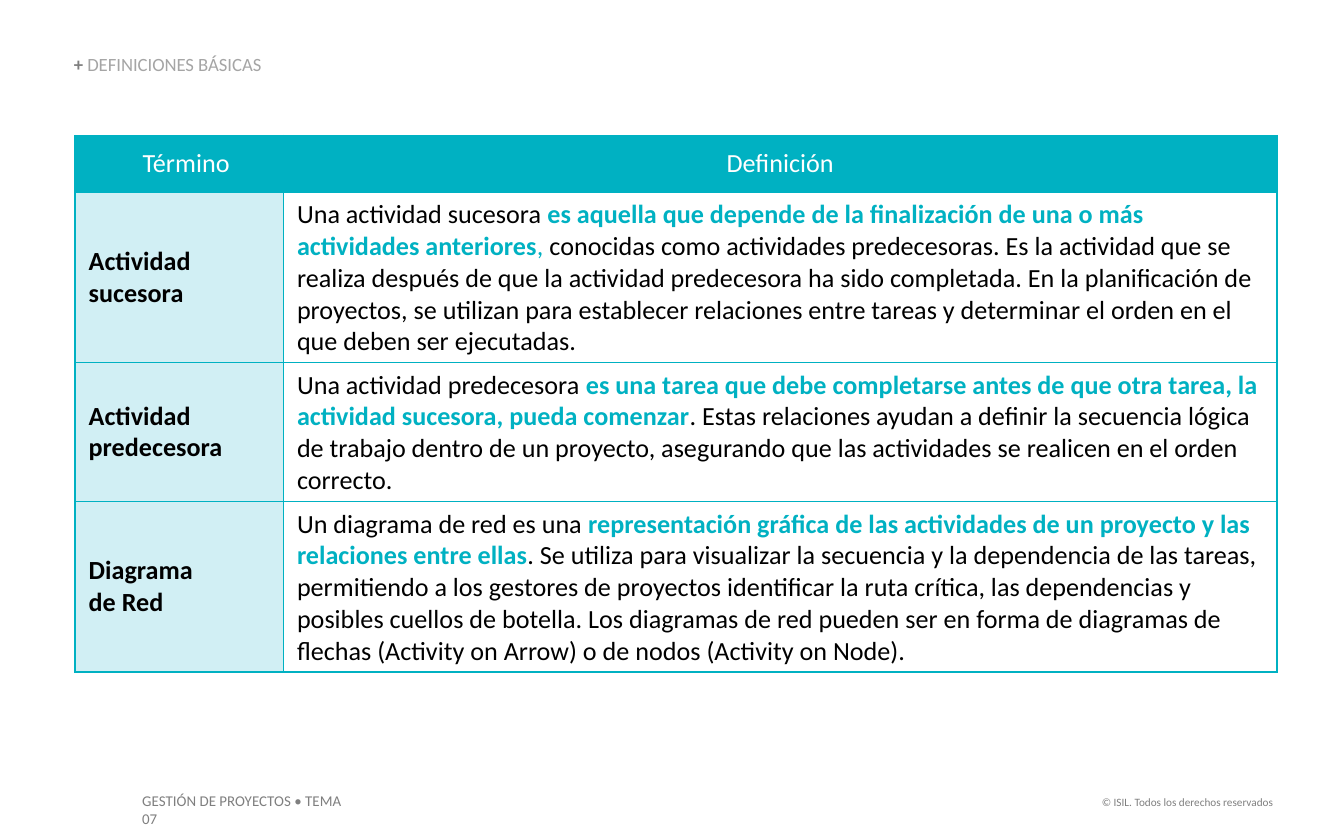
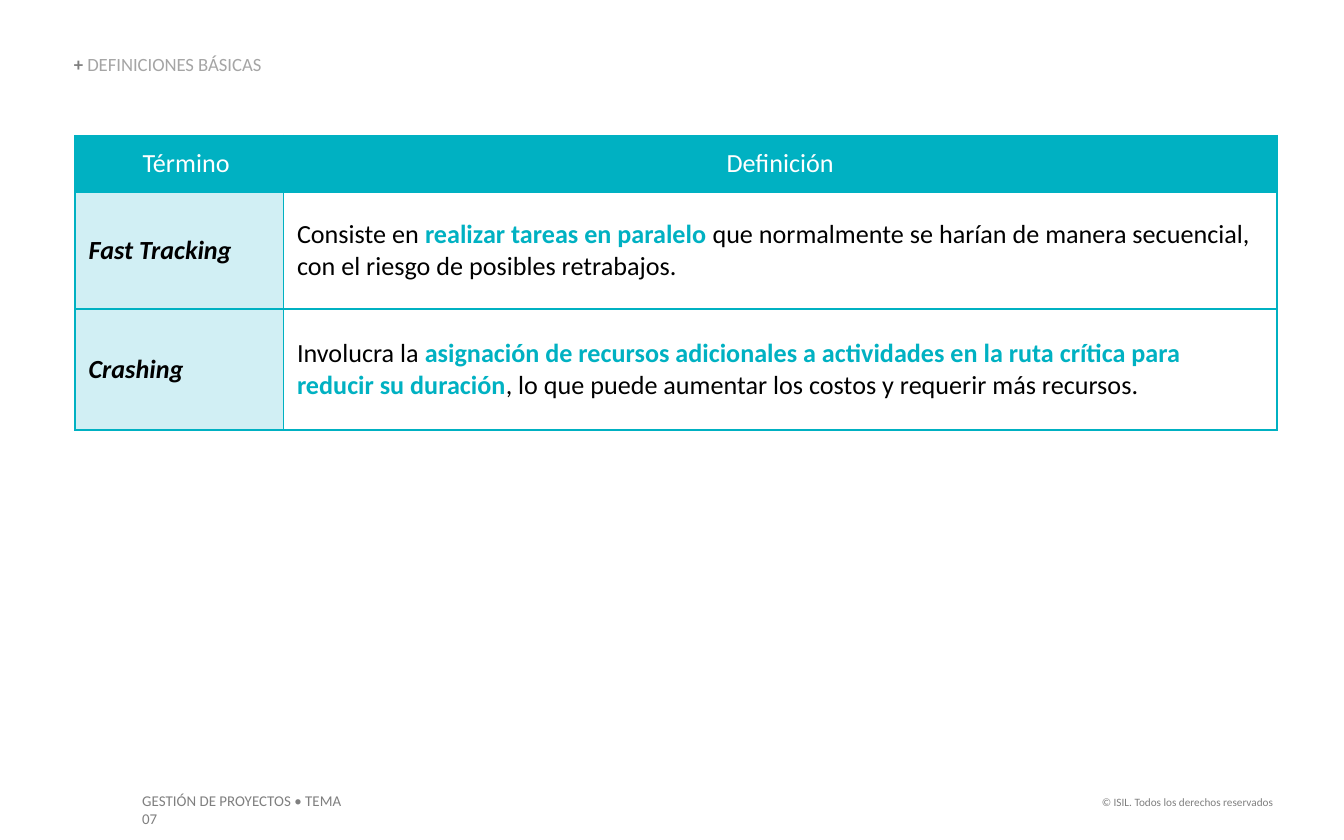
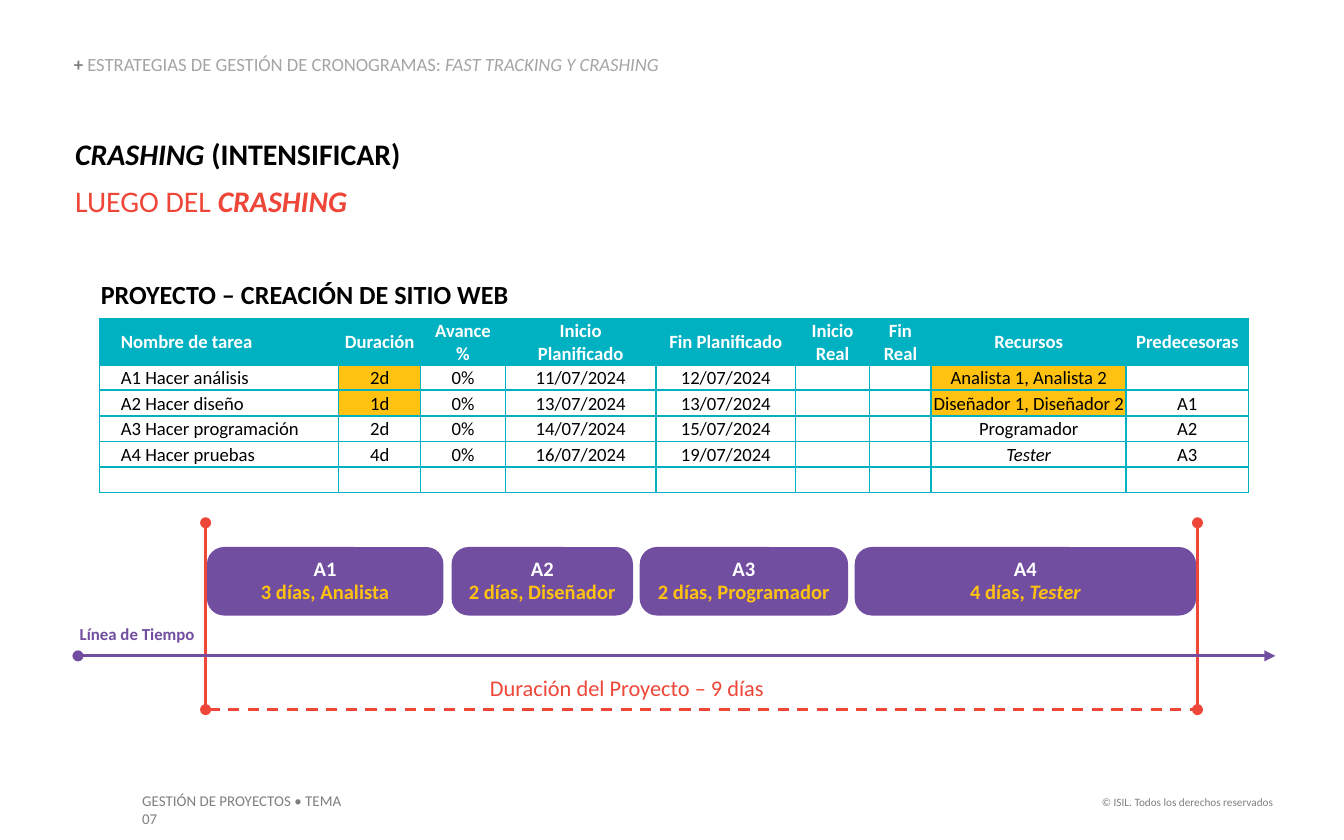
"""Build three project-management slides: two glossaries and a crashing schedule."""
from typing import NamedTuple, Sequence

import pptx
import pptx.dml.color
import pptx.enum.dml
import pptx.enum.shapes
import pptx.enum.text
import pptx.oxml.ns
import pptx.util
from lxml import etree

PX = 9144
FONT = "Calibri"
TEAL, PALE_TEAL, PURPLE, RED, AMBER = "00B1C2", "D1EFF4", "714EA0", "EE4639", "FFC211"
BLACK, WHITE, GRAY, LIGHT_GRAY = "000000", "FFFFFF", "7F7F7F", "A5A5A5"
LEFT = pptx.enum.text.PP_ALIGN.LEFT
CENTER = pptx.enum.text.PP_ALIGN.CENTER
RIGHT = pptx.enum.text.PP_ALIGN.RIGHT
TOP = pptx.enum.text.MSO_ANCHOR.TOP
MIDDLE = pptx.enum.text.MSO_ANCHOR.MIDDLE
BOTTOM = pptx.enum.text.MSO_ANCHOR.BOTTOM
PADDED = (10, 5, 10, 5)
FLUSH = (0, 0, 0, 0)
TIGHT = (1, 1, 1, 0)


class Run(NamedTuple):
    """Text with the attributes that differ from its paragraph."""
    text: str
    color: str | None = None
    bold: bool | None = None
    italic: bool | None = None


class Para(NamedTuple):
    """A paragraph with its base font and layout."""
    runs: Sequence[Run]
    size: int
    color: str = BLACK
    bold: bool = False
    italic: bool = False
    align: int = LEFT
    indent: int = 0
    spacing: float | None = None
    before: int = 0


class Cell(NamedTuple):
    """A table cell."""
    para: Para
    fill: str | None = None
    span: int = 1
    borders: str = "LRTB"


class Box(NamedTuple):
    """A text box placed on the slide."""
    x: int
    y: int
    w: int
    h: int
    paras: Sequence[Para]
    insets: tuple[int, int, int, int] = PADDED
    anchor: int = TOP


class Task(NamedTuple):
    """A row of the schedule."""
    name: str
    days: str
    start: str
    end: str
    people: Run
    before: str
    changed: bool


class Bar(NamedTuple):
    """A task bar above the timeline."""
    x: int
    w: int
    name: str
    detail: Sequence[Run]


class Line(NamedTuple):
    """A straight line with optional arrowheads."""
    x1: int
    y1: int
    x2: int
    y2: int
    color: str
    head: str = ""
    tail: str = ""
    dashed: bool = False


FOOTERS = (
    Box(791, 587, 166, 20,
        [Para([Run("© ISIL. Todos los derechos reservados")], 6, GRAY, align=RIGHT)]),
    Box(96, 584, 190, 24,
        [Para([Run("GESTIÓN DE PROYECTOS • TEMA 07")], 8, GRAY)], (10, 5, 30, 5)),
)

NETWORK_TERMS = (
    (Run("Actividad sucesora"), (
        Run("Una actividad sucesora "),
        Run("es aquella que depende de la finalización de una o más actividades anteriores",
            TEAL, True),
        Run(",", TEAL),
        Run(" conocidas como actividades predecesoras. Es la actividad que se realiza después "
            "de que la actividad predecesora ha sido completada. En la planificación de "
            "proyectos, se utilizan para establecer relaciones entre tareas y determinar el "
            "orden en el que deben ser ejecutadas."))),
    (Run("Actividad predecesora"), (
        Run("Una actividad predecesora "),
        Run("es una tarea que debe completarse antes de que otra tarea, la actividad sucesora, "
            "pueda comenzar", TEAL, True),
        Run(". Estas relaciones ayudan a definir la secuencia lógica de trabajo dentro de un "
            "proyecto, asegurando que las actividades se realicen en el orden correcto."))),
    (Run("Diagrama\nde Red"), (
        Run("Un diagrama de red es una "),
        Run("representación gráfica de las actividades de un proyecto y las relaciones entre "
            "ellas", TEAL, True),
        Run(". Se utiliza para visualizar la secuencia y la dependencia de las tareas, "
            "permitiendo a los gestores de proyectos identificar la ruta crítica, las "
            "dependencias y posibles cuellos de botella. Los diagramas de red pueden ser en "
            "forma de diagramas de flechas (Activity on Arrow) o de nodos (Activity on Node)."))),
)

STRATEGY_TERMS = (
    (Run("Fast Tracking", italic=True), (
        Run("Consiste en "),
        Run("realizar tareas en paralelo ", TEAL, True),
        Run("que normalmente se harían de manera secuencial, con el riesgo de posibles "
            "retrabajos."))),
    (Run("Crashing", italic=True), (
        Run("Involucra la "),
        Run("asignación de recursos adicionales a actividades en la ruta crítica para reducir "
            "su duración", TEAL, True),
        Run(", lo que puede aumentar los costos y requerir más recursos."))),
)

SCHEDULE_HEADS = ("Nombre de tarea", "Duración", "Avance\n%", "Inicio\nPlanificado",
                  "Fin Planificado", "Inicio\nReal", "Fin\nReal", "Recursos", "Predecesoras")
SCHEDULE_COLS = (178, 61, 63, 112, 104, 55, 46, 145, 91)
TASKS = (
    Task("A1 Hacer análisis", "2d", "11/07/2024", "12/07/2024",
         Run("Analista 1, Analista 2"), "", True),
    Task("A2 Hacer diseño", "1d", "13/07/2024", "13/07/2024",
         Run("Diseñador 1, Diseñador 2"), "A1", True),
    Task("A3 Hacer programación", "2d", "14/07/2024", "15/07/2024",
         Run("Programador"), "A2", False),
    Task("A4 Hacer pruebas", "4d", "16/07/2024", "19/07/2024",
         Run("Tester", italic=True), "A3", False),
)
BARS = (
    Bar(154, 176, "A1", [Run("3 días, Analista")]),
    Bar(336, 135, "A2", [Run("2 días, Diseñador")]),
    Bar(476, 155, "A3", [Run("2 días, Programador")]),
    Bar(636, 254, "A4", [Run("4 días, "), Run("Tester", italic=True)]),
)


def px(n: int) -> pptx.util.Emu:
    """Turn px into EMU."""
    return pptx.util.Emu(n * PX)


def rgb(color: str) -> pptx.dml.color.RGBColor:
    """Turn a hex string into a colour."""
    return pptx.dml.color.RGBColor.from_string(color)


def sub(parent, tag: str, **attrs: str):
    """Append an XML element."""
    return etree.SubElement(parent, pptx.oxml.ns.qn(tag), **attrs)


def write_para(p, para: Para) -> None:
    """Fill a paragraph with runs over its base font."""
    if para.indent:
        p._p.get_or_add_pPr().set("indent", str(px(para.indent)))
    p.alignment = para.align
    if para.spacing:
        p.line_spacing = para.spacing
    if para.before:
        p.space_before = pptx.util.Pt(para.before)
    p.font.name, p.font.size = FONT, pptx.util.Pt(para.size)
    p.font.bold, p.font.italic = para.bold, para.italic
    p.font.color.rgb = rgb(para.color)
    for run in para.runs:
        for i, text in enumerate(run.text.split("\n")):
            if i:
                p.add_line_break()
            r = p.add_run()
            r.text = text
            if run.bold is not None:
                r.font.bold = run.bold
            if run.italic is not None:
                r.font.italic = run.italic
            if run.color:
                r.font.color.rgb = rgb(run.color)
    if not para.runs:
        sub(p._p, "a:endParaRPr", sz=str(para.size * 100))


def write_frame(tf, paras: Sequence[Para], insets: tuple[int, int, int, int],
                anchor: int) -> None:
    """Write paragraphs into a text frame."""
    tf.word_wrap = True
    tf.vertical_anchor = anchor
    tf.margin_left, tf.margin_top, tf.margin_right, tf.margin_bottom = map(px, insets)
    for i, para in enumerate(paras):
        write_para(tf.add_paragraph() if i else tf.paragraphs[0], para)


def draw_box(slide, box: Box) -> None:
    """Draw a text box."""
    sp = slide.shapes.add_textbox(px(box.x), px(box.y), px(box.w), px(box.h))
    write_frame(sp.text_frame, box.paras, box.insets, box.anchor)
    sp.text_frame.auto_size = pptx.enum.text.MSO_AUTO_SIZE.SHAPE_TO_FIT_TEXT


def draw_cell(cell, data: Cell, insets: tuple[int, int, int, int]) -> None:
    """Write a cell with its borders and fill."""
    tcPr = cell._tc.get_or_add_tcPr()
    for side in "LRTB":
        ln = sub(tcPr, f"a:ln{side}", w=str(pptx.util.Pt(1)))
        if side in data.borders:
            sub(sub(ln, "a:solidFill"), "a:srgbClr", val=TEAL)
        else:
            sub(ln, "a:noFill")
    if data.fill:
        cell.fill.solid()
        cell.fill.fore_color.rgb = rgb(data.fill)
    else:
        cell.fill.background()
    cell.vertical_anchor = MIDDLE
    cell.margin_left, cell.margin_top, cell.margin_right, cell.margin_bottom = map(px, insets)
    write_para(cell.text_frame.paragraphs[0], data.para)


def draw_table(slide, x: int, y: int, cols: Sequence[int], rows: Sequence[int],
               cells: Sequence[Sequence[Cell]], insets: tuple[int, int, int, int]) -> None:
    """Draw a table with plain teal rules."""
    table = slide.shapes.add_table(len(rows), len(cols), px(x), px(y),
                                   px(sum(cols)), px(sum(rows))).table
    table.first_row = table.horz_banding = False
    for column, width in zip(table.columns, cols):
        column.width = px(width)
    for i, (height, row) in enumerate(zip(rows, cells)):
        table.rows[i].height = px(height)
        for j, data in enumerate(row):
            draw_cell(table.cell(i, j), data, insets)
            if data.span > 1:
                table.cell(i, j).merge(table.cell(i, j + data.span - 1))


def draw_line(slide, line: Line) -> None:
    """Draw a straight connector."""
    cxn = slide.shapes.add_connector(pptx.enum.shapes.MSO_CONNECTOR.STRAIGHT,
                                     px(line.x1), px(line.y1), px(line.x2), px(line.y2))
    cxn.line.color.rgb = rgb(line.color)
    cxn.line.width = pptx.util.Pt(1.5)
    if line.dashed:
        cxn.line.dash_style = pptx.enum.dml.MSO_LINE.DASH
    ln = cxn.line._get_or_add_ln()
    for tag, kind in (("a:headEnd", line.head), ("a:tailEnd", line.tail)):
        if kind:
            sub(ln, tag, type=kind)
    sub(cxn._element.spPr, "a:effectLst")


def draw_bar(slide, bar: Bar) -> None:
    """Draw a rounded task bar."""
    sp = slide.shapes.add_shape(pptx.enum.shapes.MSO_SHAPE.ROUNDED_RECTANGLE,
                                px(bar.x), px(407), px(bar.w), px(51))
    sp.adjustments[0] = 0.25
    sp.shadow.inherit = False
    sp.fill.solid()
    sp.fill.fore_color.rgb = rgb(PURPLE)
    sp.line.fill.background()
    paras = [Para(runs, 11, color, True, align=CENTER, spacing=0.9)
             for runs, color in (([Run(bar.name)], WHITE), (bar.detail, AMBER))]
    write_frame(sp.text_frame, paras, FLUSH, MIDDLE)


def add_slide(prs, width: int, *title: Run):
    """Add a blank slide with the footers and the section title."""
    slide = prs.slides.add_slide(prs.slide_layouts[6])
    heading = Para([Run("+ ", GRAY, True), *title], 10, LIGHT_GRAY, spacing=0.9)
    for box in (*FOOTERS, Box(55, 41, width, 15, [heading], FLUSH, BOTTOM)):
        draw_box(slide, box)
    return slide


def add_glossary(prs, terms, heights: Sequence[int]) -> None:
    """Add a slide with a table of terms and definitions."""
    slide = add_slide(prs, 266, Run("DEFINICIONES BÁSICAS"))
    cells = [[Cell(Para([Run("Término")], 14, WHITE, align=CENTER, indent=10), TEAL),
              Cell(Para([Run("Definición")], 14, WHITE, align=CENTER), TEAL)]]
    cells += [[Cell(Para([term], 14, bold=True), PALE_TEAL), Cell(Para(definition, 14), WHITE)]
              for term, definition in terms]
    draw_table(slide, 56, 101, (155, 739), (42, *heights), cells, PADDED)


def schedule_row(runs: Sequence[Run], color: str = BLACK, bold: bool = False,
                 fills: Sequence[str | None] = (None,) * 9) -> list[Cell]:
    """Lay out one row of the schedule, with its first column indented."""
    return [Cell(Para([run] if run.text else [], 10, color, bold,
                      align=CENTER if j else LEFT, indent=0 if j else 15), fill)
            for j, (run, fill) in enumerate(zip(runs, fills))]


def task_row(task: Task) -> list[Cell]:
    """Lay out a task, marking the cells that crashing changed."""
    runs = [Run(task.name), Run(task.days), Run("0%"), Run(task.start), Run(task.end),
            Run(""), Run(""), task.people, Run(task.before)]
    return schedule_row(runs, fills=[AMBER if task.changed and j in (1, 7) else None
                                     for j in range(len(runs))])


def add_crashing(prs) -> None:
    """Add the slide with the schedule and the timeline after crashing."""
    slide = add_slide(prs, 494, Run("ESTRATEGIAS DE GESTIÓN DE CRONOGRAMAS: "),
                      Run("FAST TRACKING Y CRASHING", italic=True))
    count = len(SCHEDULE_COLS)
    project = Para([Run("PROYECTO – CREACIÓN DE SITIO WEB")], 14, bold=True)
    cells = [
        [Cell(project, span=count, borders="B")] + [Cell(Para([], 10), borders="B")] * (count - 1),
        schedule_row([Run(head) for head in SCHEDULE_HEADS], WHITE, True, [TEAL] * count),
        *map(task_row, TASKS),
        schedule_row([Run("")] * count),
    ]
    draw_table(slide, 74, 202, SCHEDULE_COLS, (35, 34, *[19] * 5), cells, TIGHT)

    draw_line(slide, Line(155, 528, 891, 528, RED, dashed=True))
    for bar in BARS:
        draw_bar(slide, bar)
    for x in (891, 153):
        draw_line(slide, Line(x, 389, x, 528, RED, "oval", "oval"))
    draw_line(slide, Line(58, 488, 949, 488, PURPLE, "oval", "triangle"))

    timeline = Para([Run("Línea de Tiempo")], 9, PURPLE, True, align=CENTER)
    duration = Para([Run("Duración del Proyecto – 9 días")], 12, RED, align=CENTER)
    strategy = Para([Run("CRASHING", italic=True), Run(" (INTENSIFICAR)")], 16, bold=True)
    stage = Para([Run("LUEGO DEL "), Run("CRASHING", bold=True, italic=True)], 16, RED, before=6)
    for box in (Box(58, 464, 88, 16, [timeline], FLUSH),
                Box(297, 497, 339, 30, [duration]),
                Box(56, 101, 346, 62, [strategy, stage], FLUSH)):
        draw_box(slide, box)


def main() -> None:
    """Build and save the deck."""
    prs = pptx.Presentation()
    prs.slide_width, prs.slide_height = px(1000), px(625)
    add_glossary(prs, NETWORK_TERMS, (109, 99, 109))
    add_glossary(prs, STRATEGY_TERMS, (87, 90))
    add_crashing(prs)
    prs.save("out.pptx")


if __name__ == "__main__":
    main()
